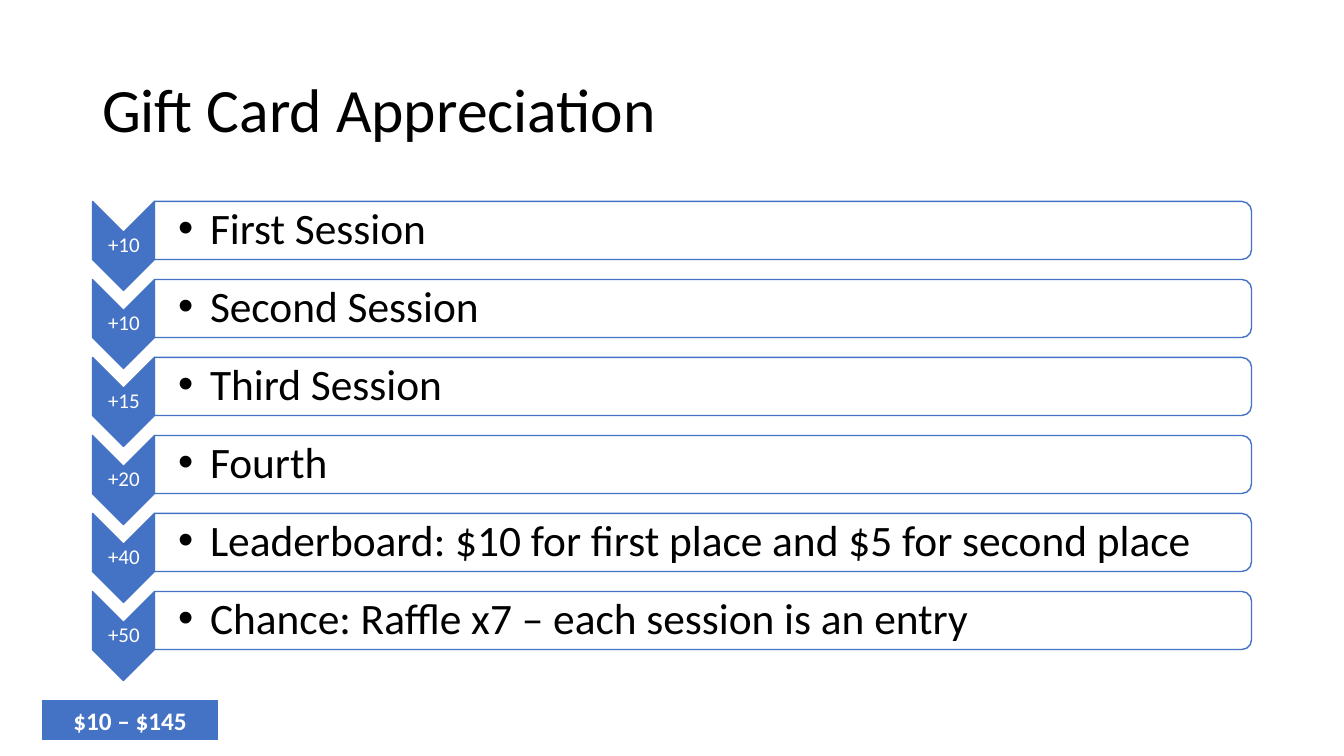
from lxml import etree
from pptx import Presentation
from pptx import util as u
from pptx.dml.color import RGBColor
from pptx.enum import shapes, text
from pptx.oxml import ns

BLUE, WHITE, BLACK = "4472C4", "FFFFFF", "000000"
ROW_PITCH = 78
SESSIONS = [
    ("+10", "First Session"),
    ("+10", "Second Session"),
    ("+15", "Third Session"),
    ("+20", "Fourth"),
    ("+40", "Leaderboard: $10 for first place and $5 for second place"),
    ("+50", "Chance: Raffle x7 – each session is an entry"),
]


def px(length):
    """Turn pixels into EMU."""
    return u.Emu(round(length * 914400 / 100.8))


def rgb(value):
    """Turn a hex string into a colour."""
    return RGBColor.from_string(value)


def assign(target, values):
    """Set every attribute named in the dict."""
    for name, value in values.items():
        setattr(target, name, value)


class SlideBuilder:
    """Draws styled elements on the current slide."""

    font = "Calibri"

    def __init__(self, page):
        """Keep the page and draw directly on it."""
        self.page = page
        self.canvas = page.shapes

    def start_group(self):
        """Put the following elements into a new group."""
        self.canvas = self.page.shapes.add_group_shape().shapes

    def end_group(self):
        """Go back to drawing directly on the page."""
        self.canvas = self.page.shapes

    def fill_text(self, box, words, size, color, align, spacing=0.9, bold=False, margins=None):
        """Fill a box with one formatted paragraph and return it."""
        frame = box.text_frame
        assign(frame, {"word_wrap": True, "vertical_anchor": text.MSO_ANCHOR.MIDDLE})
        if margins:
            sides = ("margin_left", "margin_top", "margin_right", "margin_bottom")
            assign(frame, dict(zip(sides, map(px, margins))))
        para = frame.paragraphs[0]
        assign(para, {"alignment": align, "line_spacing": spacing})
        span = para.add_run()
        span.text = words
        assign(span.font, {"name": self.font, "size": u.Pt(size), "bold": bold})
        span.font.color.rgb = rgb(color)
        return para

    def title(self, words, place):
        """Place and fill the title placeholder."""
        box = self.page.shapes.title
        assign(box, dict(zip(("left", "top", "width", "height"), map(px, place))))
        self.fill_text(box, words, 44, BLACK, text.PP_ALIGN.LEFT)

    def shape(self, kind, place, fill, line, weight=1, rotation=0, opacity=100):
        """Add a filled and outlined preset shape."""
        box = self.canvas.add_shape(kind, *map(px, place))
        box.rotation = rotation
        box.shadow.inherit = False
        box.fill.solid()
        box.fill.fore_color.rgb = rgb(fill)
        box.line.color.rgb = rgb(line)
        box.line.width = u.Pt(weight)
        if opacity < 100:
            color = box._element.spPr.find(ns.qn("a:solidFill")).find(ns.qn("a:srgbClr"))
            etree.SubElement(color, ns.qn("a:alpha"), val=str(opacity * 1000))
        return box

    def label(self, words, place, size, color, align, margins):
        """Add a text box and return its paragraph."""
        box = self.canvas.add_textbox(*map(px, place))
        return self.fill_text(box, words, size, color, align, margins=margins)

    def bullet(self, para, indent):
        """Give a paragraph a hanging bullet."""
        properties = para._p.get_or_add_pPr()
        properties.set("marL", str(px(indent)))
        properties.set("indent", str(px(-indent)))
        etree.SubElement(properties, ns.qn("a:buFont"), typeface="Arial")
        etree.SubElement(properties, ns.qn("a:buChar"), char="•")

    def session(self, offset, points, words):
        """Add one row: a chevron with points and a bar with a bullet."""
        kinds = shapes.MSO_SHAPE
        self.shape(kinds.CHEVRON, (79, 215 + offset, 89, 62), BLUE, BLUE, rotation=90)
        self.label(points, (93, 233 + offset, 62, 26), 15, WHITE,
                   text.PP_ALIGN.CENTER, (1, 1, 1, 1))
        self.shape(kinds.ROUND_2_SAME_RECTANGLE, (674, -318 + offset, 58, 1097),
                   WHITE, BLUE, rotation=90, opacity=90)
        para = self.label(words, (154, 204 + offset, 1094, 53), 31, BLACK,
                          text.PP_ALIGN.LEFT, (24, 2, 2, 2))
        self.bullet(para, 32)

    def badge(self, words, place):
        """Add the box with the total range."""
        box = self.shape(shapes.MSO_SHAPE.RECTANGLE, place, BLUE, WHITE, weight=1.5)
        self.fill_text(box, words, 18, WHITE, text.PP_ALIGN.CENTER, spacing=1.0, bold=True)


def main():
    """Build and save the slide."""
    deck = Presentation()
    assign(deck, {"slide_width": px(1344), "slide_height": px(756)})
    builder = SlideBuilder(deck.slides.add_slide(deck.slide_layouts.get_by_name("Title Only")))
    builder.title("Gift Card Appreciation", (92, 40, 1159, 146))
    builder.start_group()
    for row, (points, words) in enumerate(SESSIONS):
        builder.session(row * ROW_PITCH, points, words)
    builder.end_group()
    builder.badge("$10 – $145", (41, 699, 178, 42))
    deck.save("out.pptx")


if __name__ == "__main__":
    main()
